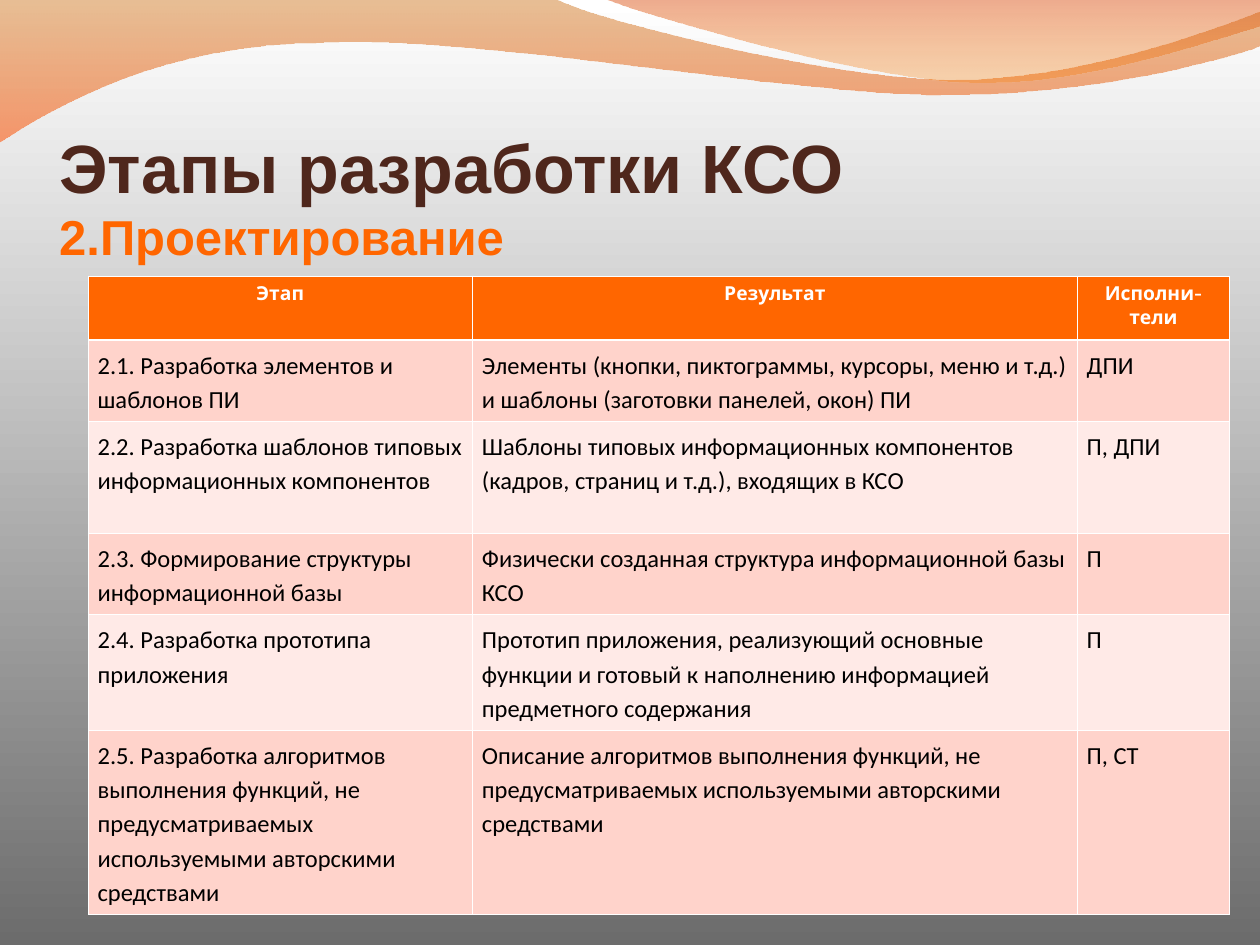
from lxml import etree
from pptx import Presentation
from pptx import util as u
from pptx.dml.color import RGBColor
from pptx.enum import text
from pptx.oxml.ns import qn

COLORS = {
    "white": "FFFFFF", "gray": "6C6C6C", "brown": "4F271C", "accent": "FF6600",
    "black": "000000", "band_dark": "FFD3CB", "band_light": "FFEAE7",
    "ochre": "CB6F13", "flame": "FF4F00", "rust": "D84300", "amber": "FF8607",
}
THIN, THICK = 0.45, 1.47

LOWER_WAVE = [
    [(0, -0.01)],
    [(4.4, -0.01)],
    [(4.76, 0.17), (6.64, 0.63), (7.58, 0.63)],
    [(8.53, 0.63), (9.58, 0.26), (10, 0.09)],
    [(10.01, 0.36)],
    [(9.83, 0.44), (8.7, 0.76), (7.46, 0.75)],
    [(6.22, 0.75), (3.82, 0.28), (2.57, 0.34)],
    [(1.29, 0.35), (0.46, 0.83), (-0.01, 1.13)],
]
UPPER_WAVE = [
    [(4.79, -0.01)],
    [(5.09, 0.11), (6.82, 0.62), (7.69, 0.65)],
    [(8.56, 0.69), (9.61, 0.32), (10, 0.21)],
    [(10, 0)],
]
STAGES = [
    ("Этап", "Результат", "Исполни-тели"),
    ("2.1. Разработка элементов и шаблонов ПИ",
     "Элементы (кнопки, пиктограммы, курсоры, меню и т.д.) и шаблоны (заготовки панелей, окон) ПИ",
     "ДПИ"),
    ("2.2. Разработка шаблонов типовых информационных компонентов",
     "Шаблоны типовых информационных компонентов (кадров, страниц и т.д.), входящих в КСО",
     "П, ДПИ"),
    ("2.3. Формирование структуры информационной базы",
     "Физически созданная структура информационной базы КСО",
     "П"),
    ("2.4. Разработка прототипа приложения",
     "Прототип приложения, реализующий основные функции и готовый к наполнению информацией предметного содержания",
     "П"),
    ("2.5. Разработка алгоритмов выполнения функций, не предусматриваемых используемыми авторскими средствами",
     "Описание алгоритмов выполнения функций, не предусматриваемых используемыми авторскими средствами",
     "П, СТ"),
]


class SlideBuilder:
    def __init__(self, slide):
        self.slide = slide

    def color(self, name):
        return RGBColor.from_string(COLORS[name])

    def font(self, font, face, size, color, bold):
        font.name, font.size, font.bold = face, u.Pt(size), bold
        font.color.rgb = self.color(color)

    def gradient(self, fill, names):
        fill.gradient()
        fill.gradient_angle = 270
        for stop, name in zip(fill.gradient_stops, names):
            stop.color.rgb = self.color(name)

    def bend(self, outline, segments):
        lines = iter(list(outline.iter(qn("a:lnTo"))))
        for segment in segments:
            group = [next(lines) for _ in segment]
            if len(group) == 3:
                curve = etree.Element(qn("a:cubicBezTo"))
                group[0].addprevious(curve)
                for line in group:
                    curve.append(line[0])
                    line.getparent().remove(line)

    def wave(self, segments, names, opacities):
        start, *rest = [(u.Inches(x), u.Inches(y)) for segment in segments for x, y in segment]
        builder = self.slide.shapes.build_freeform(*start)
        builder.add_line_segments(rest, close=True)
        wave = builder.convert_to_shape()
        self.bend(wave.element.spPr, segments[1:])
        wave.shadow.inherit = False
        wave.line.fill.background()
        self.gradient(wave.fill, names)
        for tint, opacity in zip(wave.element.spPr.iter(qn("a:srgbClr")), opacities):
            etree.SubElement(tint, qn("a:alpha"), val=str(opacity * 1000))

    def title(self, box, lines):
        title = self.slide.shapes.title
        title.left, title.top, title.width, title.height = map(u.Inches, box)
        frame = title.text_frame
        frame.auto_size = text.MSO_AUTO_SIZE.NONE
        frame.word_wrap = True
        frame.vertical_anchor = text.MSO_ANCHOR.BOTTOM
        frame.margin_left = frame.margin_right = frame.margin_bottom = 0
        frame.margin_top = u.Inches(0.05)
        heading = frame.paragraphs[0]
        heading.text = "\v".join(line for line, _, _ in lines)
        heading.alignment = text.PP_ALIGN.LEFT
        for run, (_, size, color) in zip(heading.runs, lines):
            self.font(run.font, "Arial", size, color, True)

    def borders(self, cell, row):
        widths = {"a:lnL": THIN, "a:lnR": THIN,
                  "a:lnT": THICK if row == 1 else THIN,
                  "a:lnB": THICK if row == 0 else THIN}
        properties = cell._tc.get_or_add_tcPr()
        for place, (tag, width) in enumerate(widths.items()):
            edge = etree.Element(qn(tag), w=str(u.Pt(width)))
            solid = etree.SubElement(edge, qn("a:solidFill"))
            etree.SubElement(solid, qn("a:srgbClr"), val=COLORS["white"])
            properties.insert(place, edge)

    def cell(self, cell, content, row):
        header = row == 0
        fill = "accent" if header else "band_dark" if row % 2 else "band_light"
        cell.fill.solid()
        cell.fill.fore_color.rgb = self.color(fill)
        cell.margin_left = cell.margin_right = u.Pt(7.2 if header else 5.4)
        cell.margin_top = cell.margin_bottom = u.Inches(0.05)
        entry = cell.text_frame.paragraphs[0]
        entry.text = content
        if header:
            entry.alignment = text.PP_ALIGN.CENTER
            self.font(entry.runs[0].font, "Cabin", 11, "white", True)
        else:
            entry.line_spacing = 1.15
            self.font(entry.runs[0].font, "Calibri", 14, "black", False)
        self.borders(cell, row)

    def table(self, left, top, widths, heights, rows):
        table = self.slide.shapes.add_table(
            len(rows), len(widths), u.Inches(left), u.Inches(top),
            u.Inches(sum(widths)), u.Inches(sum(heights))).table
        table.horz_banding = table.first_row = False
        for column, width in zip(table.columns, widths):
            column.width = u.Inches(width)
        for number, (row, height) in enumerate(zip(table.rows, heights)):
            row.height = u.Inches(height)
            for cell, content in zip(row.cells, rows[number]):
                self.cell(cell, content, number)


def main():
    deck = Presentation()
    deck.slide_width, deck.slide_height = u.Inches(10), u.Inches(7.5)
    slide = deck.slides.add_slide(deck.slide_layouts[5])
    page = SlideBuilder(slide)
    page.gradient(slide.background.fill, ("white", "gray"))
    page.wave(LOWER_WAVE, ("ochre", "flame"), (45, 55))
    page.wave(UPPER_WAVE, ("rust", "amber"), (45, 30))
    page.title((0.47, 0.86, 9.14, 1.25), [
        ("Этапы разработки КСО", 39, "brown"),
        ("2.Проектирование", 28, "accent"),
    ])
    page.table(0.7, 2.19, (3.05, 4.8, 1.21), (0.51, 0.64, 0.89, 0.64, 0.8, 1.34), STAGES)
    deck.save("out.pptx")


if __name__ == "__main__":
    main()
